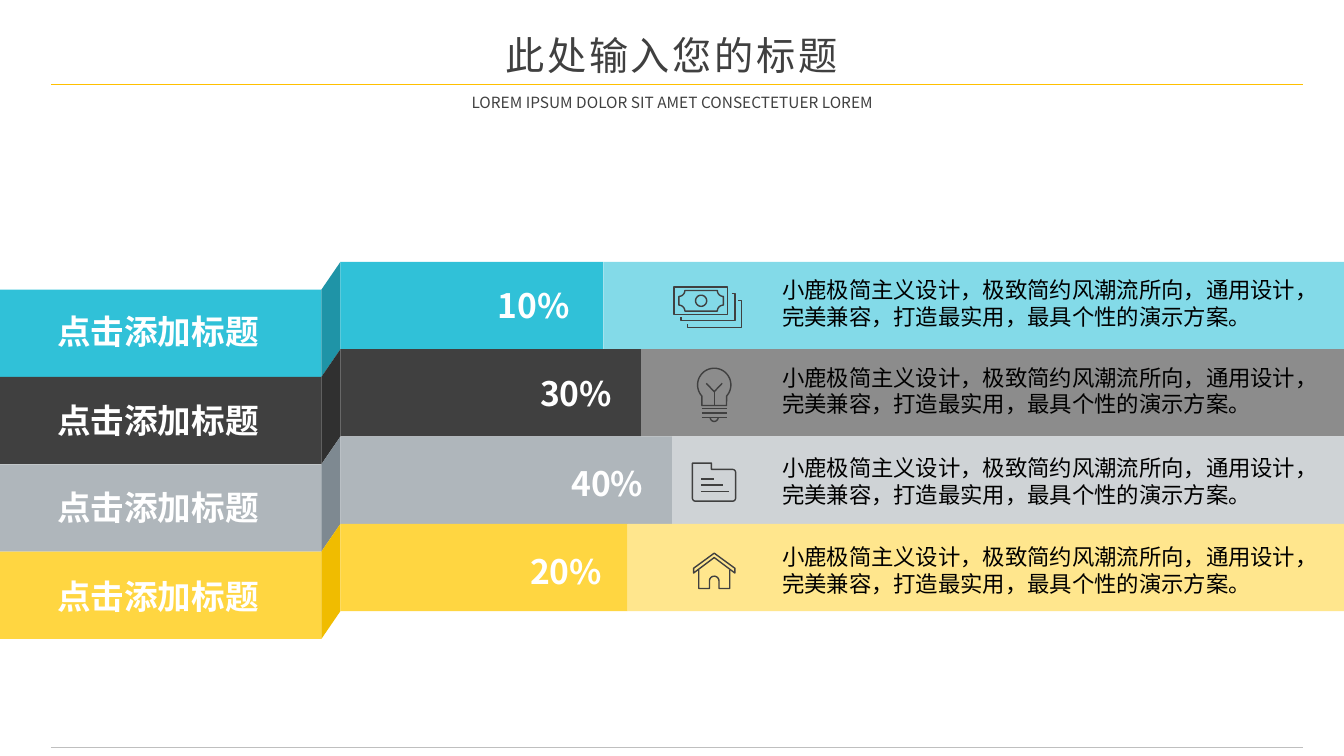
from dataclasses import dataclass
from math import cos, radians, sin

from lxml import etree
from pptx import Presentation
from pptx.dml.color import RGBColor
from pptx.enum import shapes, text
from pptx.oxml import ns
from pptx.util import Cm, Pt

WHITE = RGBColor(0xFF, 0xFF, 0xFF)
BLACK = RGBColor(0, 0, 0)
CHARCOAL = RGBColor(0x40, 0x40, 0x40)
CHARCOAL_DARK = RGBColor(0x30, 0x30, 0x30)
CHARCOAL_LIGHT = RGBColor(0x8C, 0x8C, 0x8C)
CYAN = RGBColor(0x30, 0xC1, 0xD8)
CYAN_DARK = RGBColor(0x1F, 0x94, 0xA7)
CYAN_LIGHT = RGBColor(0x83, 0xDA, 0xE8)
SILVER = RGBColor(0xAF, 0xB6, 0xBB)
SILVER_DARK = RGBColor(0x7E, 0x89, 0x91)
SILVER_LIGHT = RGBColor(0xCF, 0xD3, 0xD6)
YELLOW = RGBColor(0xFF, 0xD6, 0x41)
YELLOW_DARK = RGBColor(0xF0, 0xBC, 0x00)
YELLOW_LIGHT = RGBColor(0xFF, 0xE6, 0x8D)
GOLD = RGBColor(0xFF, 0xC0, 0x00)
RULE_GREY = RGBColor(0xBF, 0xBF, 0xBF)

SANS = "Noto Sans CJK SC"
LABEL_FONT = "Quicksand"
LABEL = "点击添加标题"
DESCRIPTION = "小鹿极简主义设计，极致简约风潮流所向，通用设计，完美兼容，打造最实用，最具个性的演示方案。"

# Band geometry in centimetres
SLIDE_W, SLIDE_H = 33.87, 19.05
BAND_H = 2.2
BAR_TOP, PANEL_TOP = 6.6, 7.3
PANEL_RIGHT, BAR_LEFT = 8.1, 8.58
ICON_X = 18


@dataclass
class Band:
    percent: str
    main: RGBColor
    dark: RGBColor
    light: RGBColor
    bar_right: float
    percent_at: tuple
    label_top: float
    description_top: float
    icon_y: float
    draw_icon: object


def style_text(frame, size, color, font=SANS, bold=False, spacing=None):
    for paragraph in frame.paragraphs:
        for run in paragraph.runs:
            run.font.size, run.font.bold = Pt(size), bold
            run.font.name, run.font.color.rgb = font, color
            props = run._r.get_or_add_rPr()
            etree.SubElement(props, ns.qn("a:ea")).set("typeface", SANS)
            if spacing:
                props.set("spc", str(spacing * 100))


def add_words(slide, words, left, top, width, height, size, color, wrap=False, **style):
    frame = slide.shapes.add_textbox(Cm(left), Cm(top), Cm(width), Cm(height)).text_frame
    frame.word_wrap = wrap
    frame.text = words
    style_text(frame, size, color, **style)


def fill_heading(holder, words, left, top, width, height, size, spacing=None):
    holder.left, holder.top, holder.width, holder.height = map(Cm, (left, top, width, height))
    frame = holder.text_frame
    frame.text = words
    frame.auto_size = text.MSO_AUTO_SIZE.NONE
    frame.word_wrap = False
    frame.vertical_anchor = text.MSO_ANCHOR.MIDDLE
    frame.paragraphs[0].alignment = text.PP_ALIGN.CENTER
    frame.paragraphs[0].space_before = Pt(0)
    style_text(frame, size, CHARCOAL, spacing=spacing)


def paint(shape, fill=None, line=None):
    shape.shadow.inherit = False
    if fill is None:
        shape.fill.background()
    else:
        shape.fill.solid()
        shape.fill.fore_color.rgb = fill
    if line is None:
        shape.line.fill.background()
    else:
        shape.line.color.rgb, shape.line.width = line, Pt(1)


def add_block(slide, left, top, right, color):
    paint(slide.shapes.add_shape(shapes.MSO_SHAPE.RECTANGLE, Cm(left), Cm(top),
                                 Cm(right - left), Cm(BAND_H)), fill=color)


def add_outline(slide, points, closed=True, **colors):
    spots = [(Cm(x), Cm(y)) for x, y in points]
    builder = slide.shapes.build_freeform(*spots[0])
    builder.add_line_segments(spots[1:], close=closed)
    paint(builder.convert_to_shape(), **colors)


def add_rule(slide, x1, y1, x2, y2, color, width):
    rule = slide.shapes.add_connector(shapes.MSO_CONNECTOR.STRAIGHT, Cm(x1), Cm(y1), Cm(x2), Cm(y2))
    rule.line.color.rgb, rule.line.width = color, Pt(width)
    etree.SubElement(rule._element.spPr, ns.qn("a:effectLst"))


# Icon strokes, placed relative to the icon centre
def arc(x, y, radius, start, end, steps=16):
    angles = [radians(start + (end - start) * i / steps) for i in range(steps + 1)]
    return [(x + radius * cos(a), y + radius * sin(a)) for a in angles]


def stroke(slide, y, points, closed=False):
    add_outline(slide, [(ICON_X + px, y + py) for px, py in points], closed, line=CHARCOAL)


def icon_line(slide, y, x1, y1, x2, y2):
    add_rule(slide, ICON_X + x1, y + y1, ICON_X + x2, y + y2, CHARCOAL, 1)


def draw_banknotes(slide, y):
    stroke(slide, y, [(-1.01, -.52), (.34, -.52), (.34, .17), (-1.01, .17)], True)
    left, top, right, bottom = -.89, -.43, .23, .09
    stroke(slide, y, arc(left, top, .15, 90, 0) + arc(right, top, .15, 180, 90)
           + arc(right, bottom, .15, 270, 180) + arc(left, bottom, .15, 360, 270), True)
    stroke(slide, y, arc(-.33, -.17, .14, 0, 360, 32), True)
    for shift in (0, .17):
        edge = [(.44, -.35), (.52, -.35), (.52, .33), (-.84, .33), (-.84, .25)]
        stroke(slide, y, [(px + shift, py + shift) for px, py in edge])


def draw_bulb(slide, y):
    stroke(slide, y, arc(0, -.26, .42, 138, 402, 40) + [(.31, .26), (-.31, .26)], True)
    stroke(slide, y, [(-.2, -.3), (0, -.09), (.2, -.3)])
    icon_line(slide, y, 0, -.09, 0, .26)
    for level in (.34, .45, .56):
        icon_line(slide, y, -.31, level, .31, level)
    stroke(slide, y, arc(0, .56, .1, 0, 180))


def draw_folder(slide, y):
    stroke(slide, y, [(-.55, -.48), (-.07, -.48), (-.07, -.32)] + arc(.46, -.24, .08, -90, 0)
           + arc(.46, .4, .08, 0, 90) + arc(-.47, .4, .08, 90, 180), True)
    for level, right in ((-.08, 0), (.07, .21), (.23, .36)):
        icon_line(slide, y, -.33, level, right, level)


def draw_house(slide, y):
    stroke(slide, y, [(0, -.45), (.52, -.07), (.52, .05), (0, -.34), (-.52, .05), (-.52, -.07)], True)
    stroke(slide, y, [(-.39, -.02), (-.39, .44), (-.12, .44)] + arc(0, .25, .12, 180, 360)
           + [(.12, .44), (.39, .44), (.39, -.02)])


BANDS = [
    Band("10%", CYAN, CYAN_DARK, CYAN_LIGHT, 15.21, (12.3, 7.06), 7.72, 6.83, 7.75, draw_banknotes),
    Band("30%", CHARCOAL, CHARCOAL_DARK, CHARCOAL_LIGHT, 16.16, (13.36, 9.27), 9.96, 9.04, 9.96, draw_bulb),
    Band("40%", SILVER, SILVER_DARK, SILVER_LIGHT, 16.94, (14.15, 11.53), 12.14, 11.33, 12.15, draw_folder),
    Band("20%", YELLOW, YELLOW_DARK, YELLOW_LIGHT, 15.82, (13.11, 13.77), 14.4, 13.56, 14.39, draw_house),
]


def add_band(slide, index, band):
    bar_top, panel_top = BAR_TOP + index * BAND_H, PANEL_TOP + index * BAND_H
    add_block(slide, 0, panel_top, PANEL_RIGHT, band.main)
    add_outline(slide, [(BAR_LEFT, bar_top), (BAR_LEFT, bar_top + BAND_H),
                        (PANEL_RIGHT, panel_top + BAND_H), (PANEL_RIGHT, panel_top)], fill=band.dark)
    add_block(slide, BAR_LEFT, bar_top, band.bar_right, band.main)
    add_block(slide, band.bar_right, bar_top, SLIDE_W, band.light)
    band.draw_icon(slide, band.icon_y)
    add_words(slide, LABEL, 1.19, band.label_top, 5.64, 1.27, 24, WHITE, font=LABEL_FONT, bold=True)
    add_words(slide, band.percent, *band.percent_at, 2.36, 1.27, 24, WHITE, bold=True)
    add_words(slide, DESCRIPTION, 19.46, band.description_top, 14.33, 1.63, 16, BLACK, wrap=True)


def main():
    deck = Presentation()
    deck.slide_width, deck.slide_height = Cm(SLIDE_W), Cm(SLIDE_H)
    slide = deck.slides.add_slide(deck.slide_layouts[0])

    # Heading and rules
    fill_heading(slide.shapes.title, "此处输入您的标题", 11.35, .69, 11.15, 1.4, 28, spacing=2)
    fill_heading(slide.placeholders[1], "LOREM IPSUM DOLOR SIT AMET CONSECTETUER LOREM",
                 11.18, 2.21, 11.53, .74, 11)
    for level, color in ((2.12, GOLD), (18.84, RULE_GREY)):
        add_rule(slide, 1.28, level, 32.84, level, color, .5)

    # Folded bands
    for index, band in enumerate(BANDS):
        add_band(slide, index, band)

    deck.save("out.pptx")


if __name__ == "__main__":
    main()
